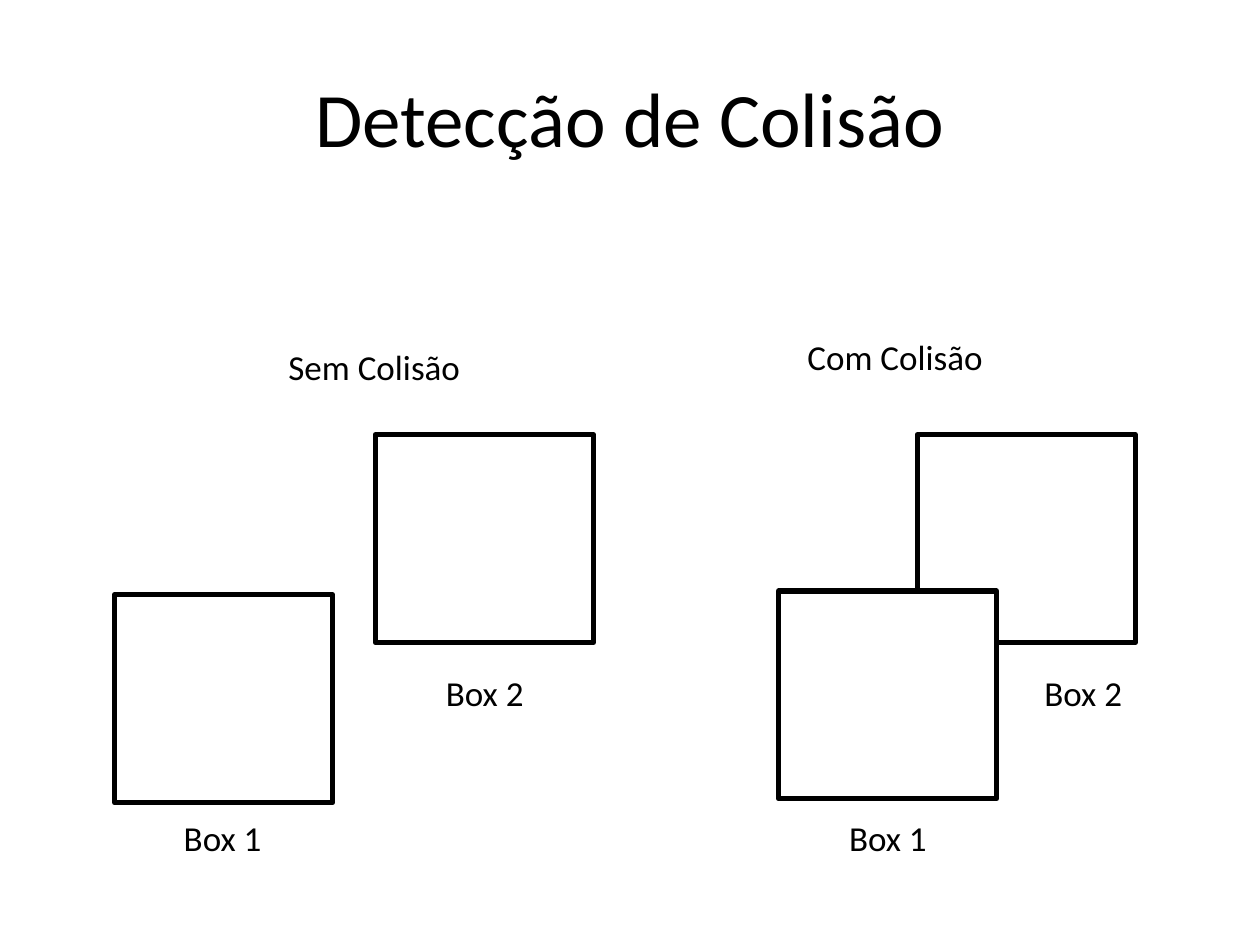
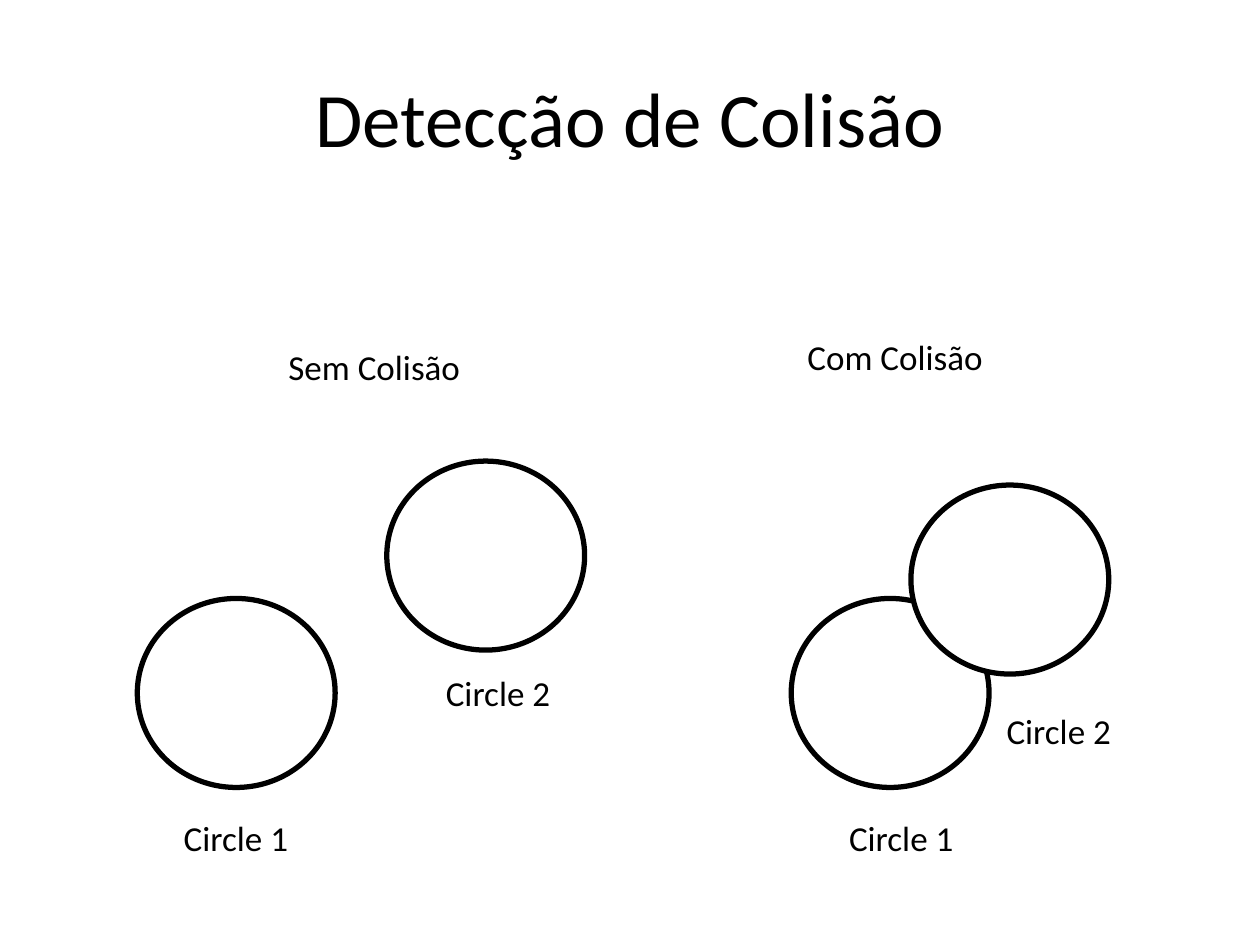
from dataclasses import dataclass

from pptx import Presentation
from pptx.dml.color import RGBColor
from pptx.enum.shapes import MSO_SHAPE
from pptx.enum.text import MSO_ANCHOR, MSO_AUTO_SIZE, PP_ALIGN
from pptx.util import Inches, Pt

RECTANGLE, OVAL = MSO_SHAPE.RECTANGLE, MSO_SHAPE.OVAL
LEFT, CENTER = PP_ALIGN.LEFT, PP_ALIGN.CENTER
TOP, MIDDLE = MSO_ANCHOR.TOP, MSO_ANCHOR.MIDDLE
FIT_SHAPE = MSO_AUTO_SIZE.SHAPE_TO_FIT_TEXT

FONT = "Calibri"
INK, PAPER = "000000", "FFFFFF"
TITLE = "Detecção de Colisão"
TITLE_BOX = (0.5, 0.3, 9, 1.25)
LABEL_HEIGHT = 0.44


@dataclass
class Panel:
    """One half of a slide: its corner, and caption and first label inside it."""
    corner: tuple
    caption: str
    caption_at: tuple
    caption_width: float
    first_label_at: tuple


@dataclass
class Figure:
    """The kind of body that a slide compares."""
    name: str
    preset: int
    size: tuple
    label_width: float


APART = Panel((0.9, 2.6), "Sem Colisão", (1.29, 0.09), 1.58, (0.46, 3.83))
TOUCHING = Panel((6.1, 2.6), "Com Colisão", (0.21, 0.01), 1.6, (0.54, 3.83))
BOX = Figure("Box", RECTANGLE, (1.73, 1.65), 0.82)
CIRCLE = Figure("Circle", OVAL, (1.57, 1.5), 1.04)

# Each scene: panel, body corners from back to front, second label corner.
BOX_SCENES = [
    (APART, [(2.08, 0.85), (0.01, 2.12)], (2.54, 2.68)),
    (TOUCHING, [(1.18, 0.85), (0.08, 2.09)], (2.09, 2.68)),
]
CIRCLE_SCENES = [
    (APART, [(0.19, 2.15), (2.17, 1.06)], (2.54, 2.68)),
    (TOUCHING, [(0.18, 2.15), (1.13, 1.25)], (1.79, 2.98)),
]


def color(value):
    """Turn a hex string into a colour."""
    return RGBColor.from_string(value)


def place(corner, offset, size):
    """Return the lengths of a box at an offset from a corner."""
    left, top = (start + step for start, step in zip(corner, offset))
    return [Inches(value) for value in (left, top, *size)]


def add_text(page, box, text, size, align=LEFT, anchor=TOP, wrap=False):
    """Add one line of text in a box."""
    frame = page.shapes.add_textbox(*box).text_frame
    frame.word_wrap = wrap
    frame.vertical_anchor = anchor
    if not wrap:
        frame.auto_size = FIT_SHAPE
    para = frame.paragraphs[0]
    para.alignment = align
    span = para.add_run()
    span.text = text
    span.font.name = FONT
    span.font.size = Pt(size)
    span.font.color.rgb = color(INK)


def add_body(page, box, preset):
    """Add one outlined body."""
    body = page.shapes.add_shape(preset, *box)
    body.shadow.inherit = False
    body.fill.solid()
    body.fill.fore_color.rgb = color(PAPER)
    body.line.color.rgb = color(INK)
    body.line.width = Pt(3)


def add_scene(page, figure, panel, bodies, second_label_at):
    """Draw a pair of bodies with caption and labels in a panel."""
    for offset in bodies:
        add_body(page, place(panel.corner, offset, figure.size), figure.preset)
    labels = [
        (panel.caption, panel.caption_at, panel.caption_width),
        (f"{figure.name} 1", panel.first_label_at, figure.label_width),
        (f"{figure.name} 2", second_label_at, figure.label_width),
    ]
    for text, offset, width in labels:
        add_text(page, place(panel.corner, offset, (width, LABEL_HEIGHT)), text, 20)


def add_page(deck, figure, scenes):
    """Add a titled slide that compares two scenes."""
    page = deck.slides.add_slide(deck.slide_layouts[6])
    title_box = [Inches(value) for value in TITLE_BOX]
    add_text(page, title_box, TITLE, 44, CENTER, MIDDLE, wrap=True)
    for scene in scenes:
        add_scene(page, figure, *scene)


def main():
    """Build and save the deck."""
    deck = Presentation()
    deck.slide_width, deck.slide_height = Inches(10), Inches(7.5)
    add_page(deck, BOX, BOX_SCENES)
    add_page(deck, CIRCLE, CIRCLE_SCENES)
    deck.save("out.pptx")


if __name__ == "__main__":
    main()
